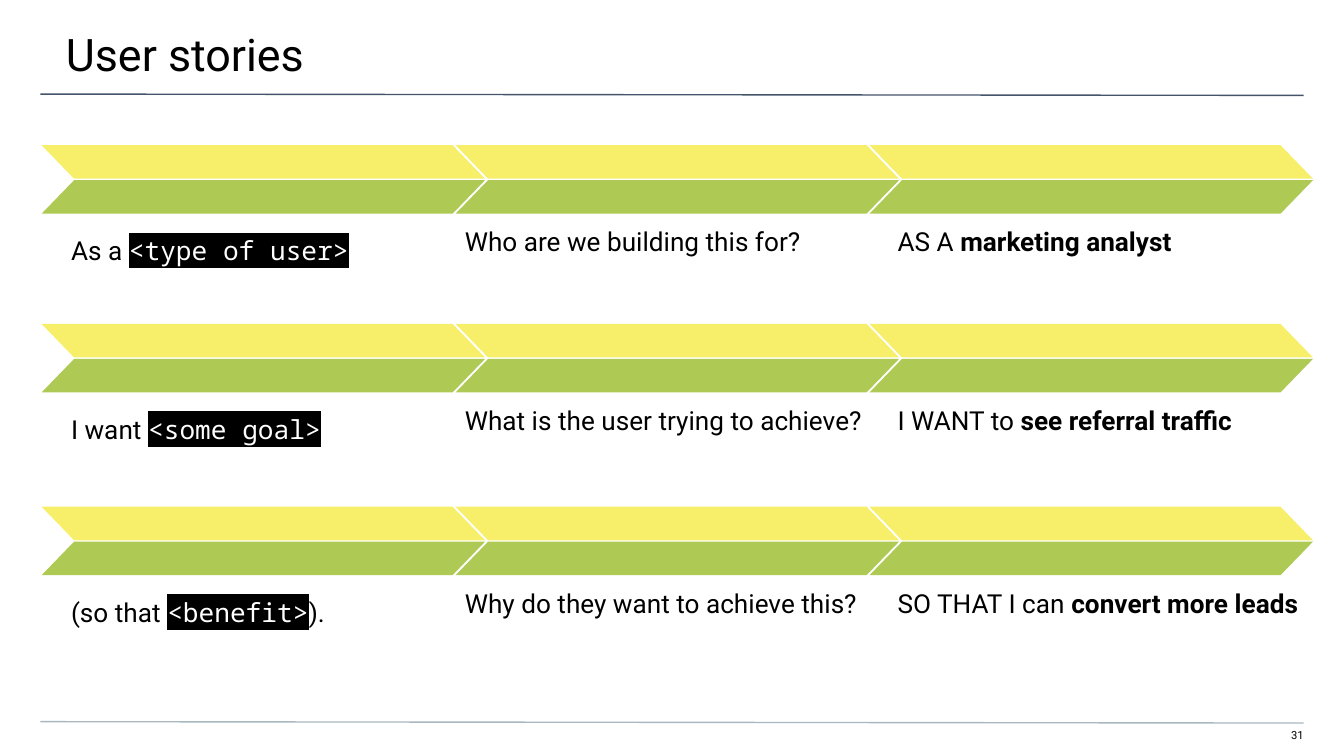
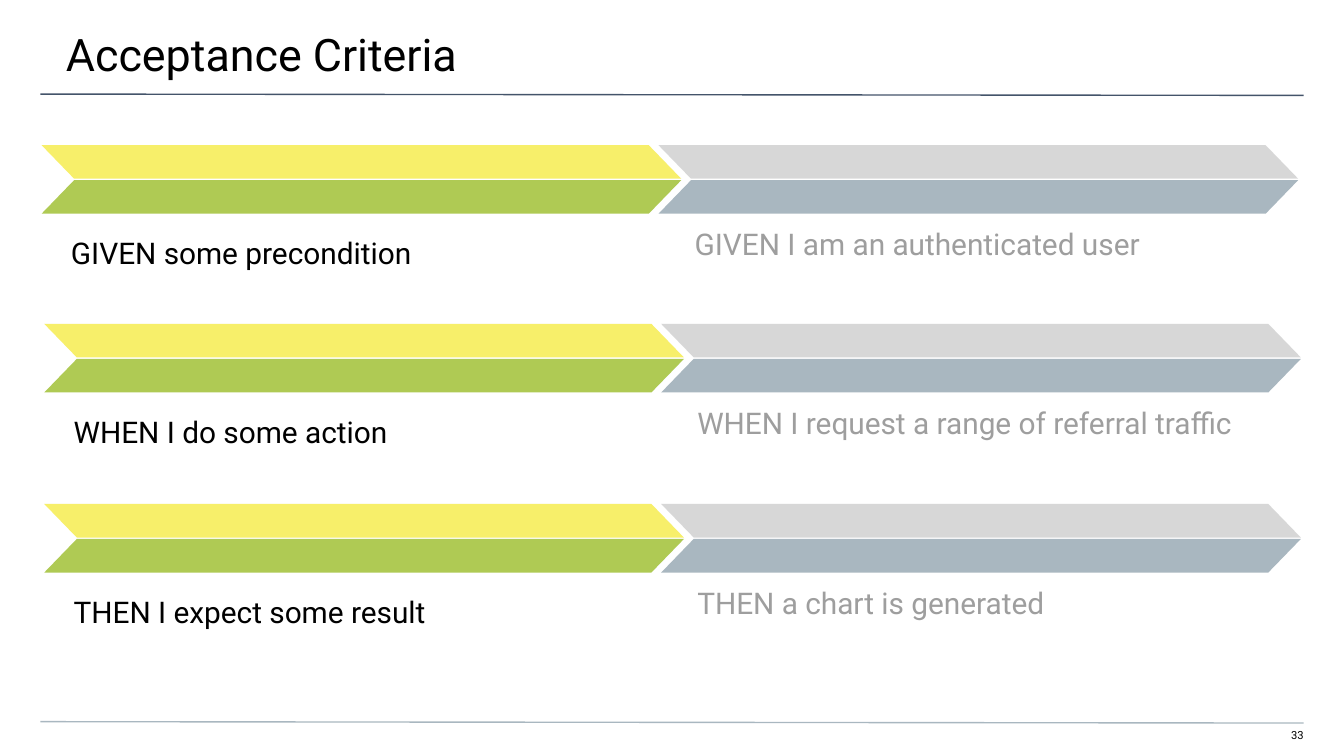
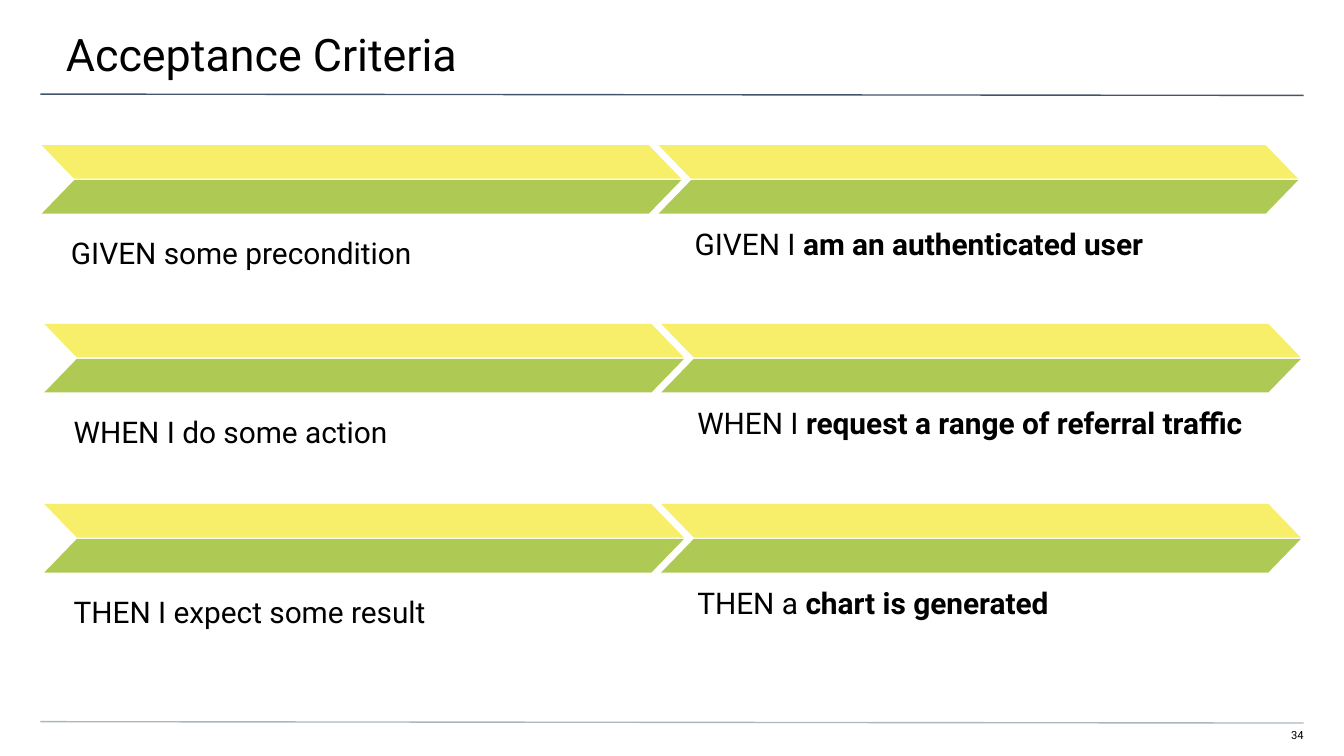
from pptx import Presentation
from pptx.dml.color import RGBColor
from pptx.enum.shapes import MSO_CONNECTOR, MSO_SHAPE
from pptx.enum.text import MSO_ANCHOR, MSO_AUTO_SIZE, PP_ALIGN
from pptx.oxml.ns import qn
from pptx.util import Inches, Pt
from lxml.etree import SubElement

COLORS = {
    "ink": "000000", "paper": "FFFFFF", "navy": "44546A", "steel": "A9B7C0",
    "yellow": "F7EF6A", "green": "AFCA54", "gray": "D4D4D4", "muted": "9E9E9E",
}
BRIGHT = ("yellow", "green", 100)
FADED = ("gray", "steel", 91)


class Deck:
    sans = "Roboto"
    mono = "Noto Sans Mono"

    def __init__(self):
        self.prs = Presentation()
        self.prs.slide_width = Inches(10)
        self.prs.slide_height = Inches(10 * 9 / 16)
        self.slide = None

    def color(self, name):
        return RGBColor.from_string(COLORS[name])

    def start(self, title, page):
        self.slide = self.prs.slides.add_slide(self.prs.slide_layouts[5])
        self.rule(0.7, "navy")
        self.rule(5.37, "steel")
        head = self.slide.shapes.title
        self.place(head, -0.01, 0, 10.03, 0.58)
        self.fill(head, [(title, "")], 24, "ink", (0.5, 0.2, 0.3, 0.1))
        foot = self.slide.shapes.add_textbox(0, 0, 0, 0)
        self.place(foot, 9.41, 5.42, 0.29, 0.12)
        line = self.fill(foot, [(page, "")], 6, "ink", (0, 0, 0, 0.1))
        line.alignment = PP_ALIGN.RIGHT

    def place(self, shape, x, y, w, h):
        shape.left, shape.top = Inches(x), Inches(y)
        shape.width, shape.height = Inches(w), Inches(h)

    def rule(self, y, color):
        line = self.slide.shapes.add_connector(
            MSO_CONNECTOR.STRAIGHT, Inches(0.3), Inches(y), Inches(9.7), Inches(y + 0.01))
        line.line.color.rgb = self.color(color)
        line.line.width = Pt(0.75)
        SubElement(line._element.spPr, qn("a:effectLst"))

    def fill(self, shape, runs, size, color, pads):
        frame = shape.text_frame
        frame.word_wrap = True
        frame.auto_size = MSO_AUTO_SIZE.NONE
        frame.vertical_anchor = MSO_ANCHOR.TOP
        (frame.margin_left, frame.margin_top,
         frame.margin_right, frame.margin_bottom) = map(Inches, pads)
        para = frame.paragraphs[0]
        para.alignment = PP_ALIGN.LEFT
        para.font.size = Pt(size)
        para.font.name = self.sans
        para.font.color.rgb = self.color(color)
        for text, kind in runs:
            run = para.add_run()
            run.text = text
            if kind == "bold":
                run.font.bold = True
            elif kind == "code":
                self.mark(run)
        return para

    def mark(self, run):
        glow = SubElement(run._r.get_or_add_rPr(), qn("a:highlight"))
        SubElement(glow, qn("a:srgbClr"), val=COLORS["ink"])
        run.font.name = self.mono
        run.font.color.rgb = self.color("paper")

    def text(self, x, y, w, runs, size, color="ink"):
        box = self.slide.shapes.add_textbox(0, 0, 0, 0)
        self.place(box, x, y, w, 0.41)
        return self.fill(box, runs, size, color, (0.1, 0.1, 0.1, 0))

    def prompt(self, x, y, w, runs, size):
        self.text(x, y + 0.53, w, runs, size).line_spacing = 1.15

    def answer(self, x, y, w, runs, size, color="ink"):
        self.text(x, y + 0.5, w, runs, size, color).space_after = Pt(16)

    def half(self, x, y, w, color):
        bar = self.slide.shapes.add_shape(
            MSO_SHAPE.PARALLELOGRAM, Inches(x), Inches(y), Inches(w), Inches(0.25))
        bar.adjustments[0] = 0.97
        bar.shadow.inherit = False
        bar.fill.solid()
        bar.fill.fore_color.rgb = self.color(color)
        bar.line.fill.background()
        return bar

    def arrow(self, x, y, w, tone=BRIGHT):
        top, base, alpha = tone
        upper = self.half(x, y, w, top)
        upper._element.spPr.find(qn("a:xfrm")).set("flipH", "1")
        if alpha < 100:
            tint = upper._element.spPr.find(qn("a:solidFill"))[0]
            SubElement(tint, qn("a:alpha"), val=str(alpha * 1000))
        self.half(x, y + 0.26, w, base)

    def story(self, rows):
        for y, (ask, why, case) in zip((1.08, 2.41, 3.77), rows):
            for col in range(3):
                self.arrow(0.31 + 3.08 * col, y, 3.3)
            self.answer(3.36, y, 3.49, [(why, "")], 14)
            self.prompt(0.43, y, 2.85, ask, 14)
            self.answer(6.58, y, 3.36, case, 14)

    def rules(self, rows, tone, color, weight):
        for x, y, (ask, lead, rest) in zip((0.31, 0.33, 0.33), (1.08, 2.41, 3.75), rows):
            self.arrow(x, y, 4.76)
            self.arrow(x + 4.59, y, 4.76, tone)
            self.answer(x + 4.76, y, 4.33, [(lead, ""), (rest, weight)], 16, color)
            self.prompt(x + 0.12, y, 4.07, [(ask, "")], 16)


STORY = [
    ([("As a ", ""), ("<type of user>", "code")],
     "Who are we building this for?",
     [("AS A ", ""), ("marketing analyst", "bold")]),
    ([("I want ", ""), ("<some goal>", "code")],
     "What is the user trying to achieve?",
     [("I WANT to ", ""), ("see referral traffic", "bold")]),
    ([("(so that ", ""), ("<benefit>", "code"), (").", "")],
     "Why do they want to achieve this?",
     [("SO THAT I can ", ""), ("convert more leads", "bold")]),
]
RULES = [
    ("GIVEN some precondition", "GIVEN I", " am an authenticated user"),
    ("WHEN I do some action", "WHEN I ", "request a range of referral traffic"),
    ("THEN I expect some result", "THEN a ", "chart is generated"),
]


def main():
    deck = Deck()
    deck.start("User stories", "31")
    deck.story(STORY)
    for page, tone, color, weight in (("33", FADED, "muted", ""),
                                      ("34", BRIGHT, "ink", "bold")):
        deck.start("Acceptance Criteria", page)
        deck.rules(RULES, tone, color, weight)
    deck.prs.save("out.pptx")


if __name__ == "__main__":
    main()
